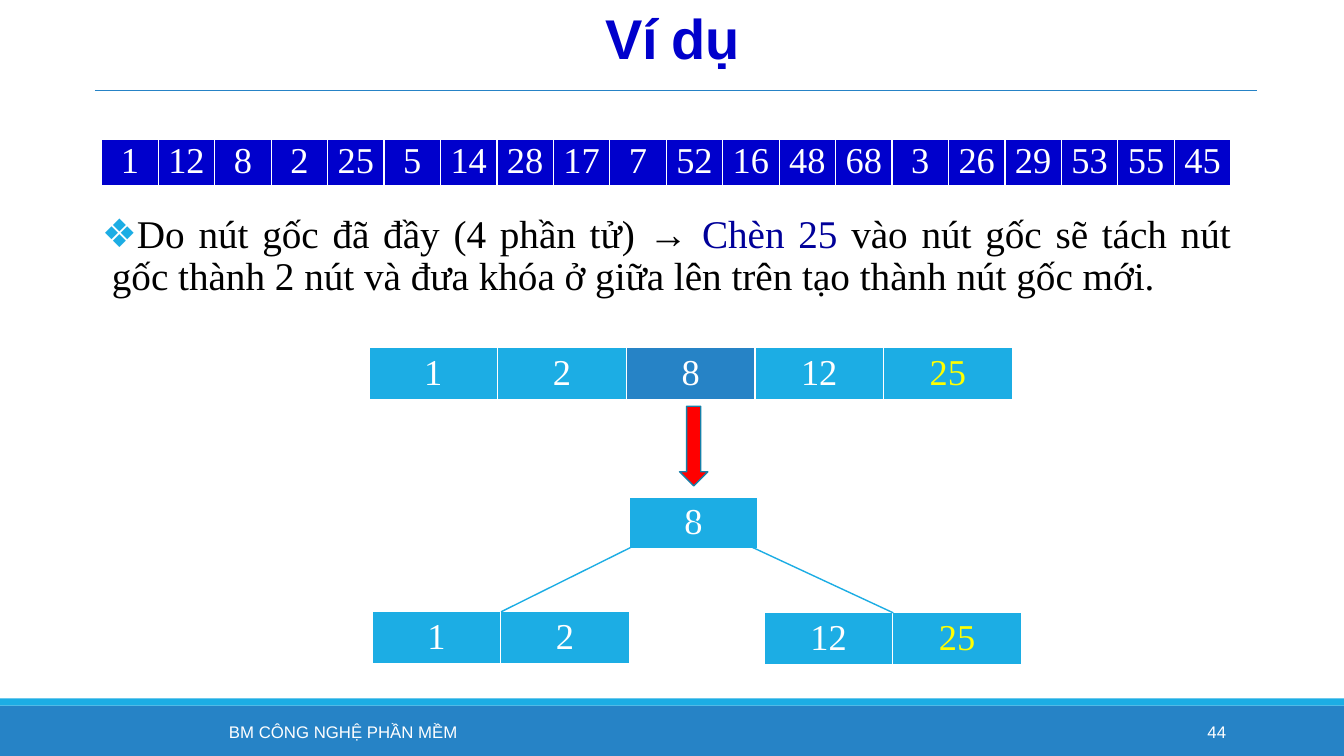
from lxml.etree import SubElement
from pptx import Presentation
from pptx.dml.color import RGBColor
from pptx.enum.shapes import MSO_CONNECTOR, MSO_SHAPE
from pptx.enum.text import MSO_ANCHOR, MSO_AUTO_SIZE, PP_ALIGN
from pptx.oxml.ns import qn
from pptx.util import Inches, Pt

SKY = RGBColor(0x1C, 0xAD, 0xE4)
BLUE = RGBColor(0x26, 0x83, 0xC6)
TEAL = RGBColor(0x15, 0x80, 0xA9)
ROYAL = RGBColor(0x00, 0x00, 0xCC)
NAVY = RGBColor(0x00, 0x00, 0x99)
RED = RGBColor(0xFF, 0x00, 0x00)
YELLOW = RGBColor(0xFF, 0xFF, 0x00)
WHITE = RGBColor(0xFF, 0xFF, 0xFF)
BLACK = RGBColor(0x00, 0x00, 0x00)
SANS = "Arial"
SERIF = "Times New Roman"


class Deck:
    """Hold the style and the current slide, and draw each kind of element."""

    def __init__(self):
        self.prs = Presentation()
        self.prs.slide_width = Inches(13.33)
        self.prs.slide_height = Inches(7.5)
        self.slide = self.prs.slides.add_slide(self.prs.slide_layouts[1])
        self.shapes = self.slide.shapes

    def place(self, shape, box):
        shape.left, shape.top, shape.width, shape.height = map(Inches, box)

    def style(self, run, size, face, color, bold=False):
        font = run.font
        font.size, font.name, font.bold = Pt(size), face, bold
        font.color.rgb = color

    def shape(self, kind, box, fill, line=None):
        item = self.shapes.add_shape(kind, *map(Inches, box))
        item.shadow.inherit = False
        item.fill.solid()
        item.fill.fore_color.rgb = fill
        if line is None:
            item.line.fill.background()
        else:
            item.line.color.rgb = line
            item.line.width = Pt(1)

    def line(self, start, end, color, width):
        item = self.shapes.add_connector(
            MSO_CONNECTOR.STRAIGHT, *map(Inches, start + end))
        item.line.color.rgb = color
        item.line.width = Pt(width)
        SubElement(item._element.spPr, qn("a:effectLst"))

    def title(self, text, box):
        item = self.shapes.title
        self.place(item, box)
        frame = item.text_frame
        frame.text = text
        frame.auto_size = MSO_AUTO_SIZE.NONE
        frame.vertical_anchor = MSO_ANCHOR.MIDDLE
        para = frame.paragraphs[0]
        para.alignment = PP_ALIGN.CENTER
        para.line_spacing = 0.85
        run = para.runs[0]
        self.style(run, 40, SANS, ROYAL, True)
        run.font._element.set("spc", "-50")

    def body(self, parts, box):
        item = self.slide.placeholders[1]
        self.place(item, box)
        frame = item.text_frame
        frame.auto_size = MSO_AUTO_SIZE.NONE
        frame.margin_left = frame.margin_right = 0
        para = frame.paragraphs[0]
        props = para._p.get_or_add_pPr()
        props.set("marL", str(Inches(0.1)))
        props.set("indent", str(Inches(-0.1)))
        tint = SubElement(props, qn("a:buClr"))
        SubElement(tint, qn("a:srgbClr"), val=str(SKY))
        SubElement(props, qn("a:buChar"), char="❖")
        para.alignment = PP_ALIGN.JUSTIFY
        para.line_spacing = 0.9
        para.space_before, para.space_after = Pt(0), Pt(2)
        for text, color in parts:
            run = para.add_run()
            run.text = text
            self.style(run, 28, SERIF, color)

    def label(self, text, box, align):
        frame = self.shapes.add_textbox(*map(Inches, box)).text_frame
        frame.word_wrap = True
        frame.vertical_anchor = MSO_ANCHOR.MIDDLE
        frame.text = text
        para = frame.paragraphs[0]
        para.alignment = align
        self.style(para.runs[0], 12, SANS, WHITE)

    def border(self, cell):
        props = cell._tc.get_or_add_tcPr()
        for side, width in (("L", 1), ("R", 1), ("T", 1), ("B", 3)):
            edge = SubElement(props, qn(f"a:ln{side}"), w=str(Pt(width)))
            fill = SubElement(edge, qn("a:solidFill"))
            SubElement(fill, qn("a:srgbClr"), val=str(WHITE))

    def keys(self, keys, box, fill=SKY, root=None, fresh=None, tight=False):
        table = self.shapes.add_table(1, len(keys), *map(Inches, box)).table
        table.first_row = table.horz_banding = False
        for col, key in enumerate(keys):
            table.columns[col].width = Inches(box[2] / len(keys))
            cell = table.cell(0, col)
            self.border(cell)
            cell.fill.solid()
            cell.fill.fore_color.rgb = BLUE if key == root else fill
            cell.text = str(key)
            para = cell.text_frame.paragraphs[0]
            para.alignment = PP_ALIGN.CENTER
            self.style(para.runs[0], 26, SERIF,
                       YELLOW if key == fresh else WHITE)
            if tight:
                cell.vertical_anchor = MSO_ANCHOR.MIDDLE
                cell.margin_left = cell.margin_right = Inches(0.06)
                cell.margin_top = cell.margin_bottom = 0
                para.line_spacing = 0.9

    def node(self, keys, left, top, root=None, fresh=None):
        self.keys(keys, (left, top, 1.276 * len(keys), 0.53),
                  root=root, fresh=fresh)


def main():
    """Build the slide and save it."""
    deck = Deck()
    deck.shape(MSO_SHAPE.RECTANGLE, (0, 7, 13.33, 0.5), BLUE)
    deck.shape(MSO_SHAPE.RECTANGLE, (0, 6.93, 13.33, 0.07), SKY)
    deck.line((0.94, 0.9), (12.47, 0.9), BLUE, 0.5)
    deck.title("Ví dụ", (0.85, 0.04, 11.64, 0.77))
    deck.body([
        ("Do nút gốc đã đầy (4 phần tử) → ", BLACK),
        ("Chèn 25 ", NAVY),
        ("vào nút gốc sẽ tách nút gốc thành 2 nút và đưa khóa ở giữa "
         "lên trên tạo thành nút gốc mới.", BLACK),
    ], (1.01, 2.08, 11.2, 0.95))
    deck.node([1, 2, 8, 12, 25], 3.66, 3.45, root=8, fresh=25)
    deck.node([8], 6.24, 4.93)
    deck.node([12, 25], 7.58, 6.08, fresh=25)
    deck.node([1, 2], 3.69, 6.07)
    deck.line((6.6, 5.26), (4.97, 6.07), SKY, 1)
    deck.line((6.86, 5.15), (8.86, 6.08), SKY, 1)
    deck.shape(MSO_SHAPE.DOWN_ARROW, (6.74, 4.03, 0.28, 0.79), RED, TEAL)
    deck.keys([1, 12, 8, 2, 25, 5, 14, 28, 17, 7,
               52, 16, 48, 68, 3, 26, 29, 53, 55, 45],
              (1.01, 1.38, 11.2, 0.47), fill=ROYAL, tight=True)
    deck.label("BM CÔNG NGHỆ PHẦN MỀM", (1.2, 7.06, 4.41, 0.4),
               PP_ALIGN.CENTER)
    deck.label("44", (10.83, 7.06, 1.43, 0.4), PP_ALIGN.RIGHT)
    deck.prs.save("out.pptx")


if __name__ == "__main__":
    main()
